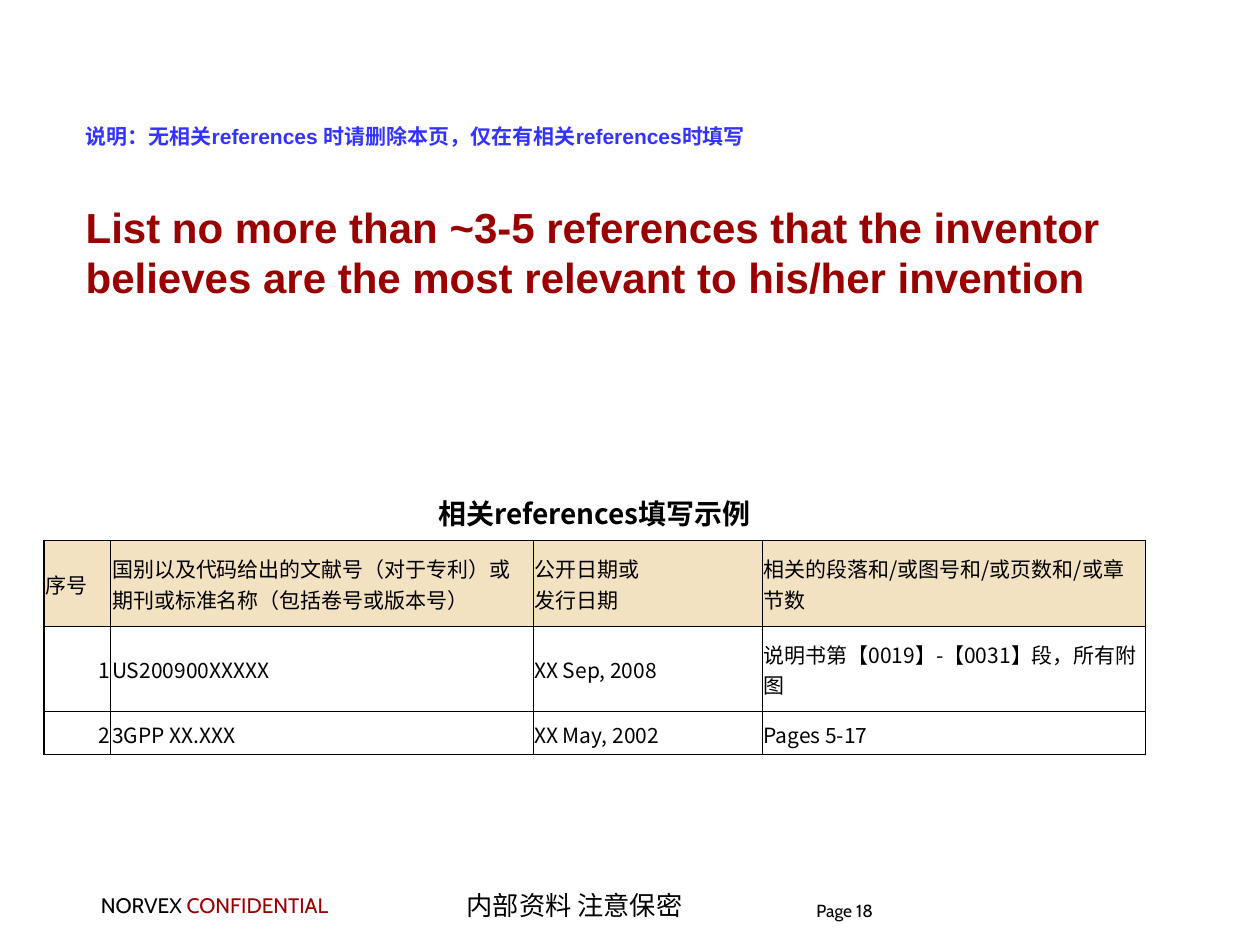
from lxml import etree
from pptx import Presentation
from pptx.dml.color import RGBColor
from pptx.enum.text import MSO_ANCHOR as Anchor, PP_ALIGN as Align
from pptx.oxml.ns import qn
from pptx.util import Inches, Pt

BLACK, RED, BLUE, SAND = "000000", "990000", "3333FF", "F2E2C2"
CJK_FONT = "Noto Sans CJK SC"
THIN, THICK = 0.5, 1

COLUMN_WIDTHS = [0.53, 3.35, 1.82, 3.04]
ROW_HEIGHTS = [0.46, 0.68, 0.68, 0.34]
TABLE_TITLE = "相关references填写示例"
TABLE_ROWS = [
    ["序号", "国别以及代码给出的文献号（对于专利）或\v期刊或标准名称（包括卷号或版本号）",
     "公开日期或\v发行日期", "相关的段落和/或图号和/或页数和/或章节数"],
    ["1", "US200900XXXXX", "XX Sep, 2008", "说明书第【0019】-【0031】段，所有附图"],
    ["2", "3GPP XX.XXX", "XX May, 2002", "Pages 5-17"],
]


def color(value):
    return RGBColor.from_string(value)


def format_run(run, size, font, text_color, bold=False):
    run.font.size = Pt(size)
    run.font.name = font
    run.font.bold = bold
    run.font.color.rgb = color(text_color)
    east_asian = etree.SubElement(run.font._element, qn("a:ea"))
    east_asian.set("typeface", CJK_FONT)


def add_text(slide, box, pieces, size, font, bold=False, align=Align.LEFT):
    """Add one middle-anchored paragraph made of (text, color) pieces."""
    frame = slide.shapes.add_textbox(*map(Inches, box)).text_frame
    frame.word_wrap = True
    frame.vertical_anchor = Anchor.MIDDLE
    frame.margin_left = frame.margin_right = Inches(0.09)
    frame.margin_top = frame.margin_bottom = 0
    paragraph = frame.paragraphs[0]
    paragraph.alignment = align
    for text, text_color in pieces:
        run = paragraph.add_run()
        run.text = text
        format_run(run, size, font, text_color, bold)


def set_borders(cell, widths):
    """Draw left, right, top and bottom borders; a width of 0 hides one."""
    properties = cell._tc.get_or_add_tcPr()
    for index, (side, width) in enumerate(zip("LRTB", widths)):
        line = etree.Element(qn(f"a:ln{side}"), w=str(Pt(width)))
        if width:
            fill = etree.SubElement(line, qn("a:solidFill"))
            etree.SubElement(fill, qn("a:srgbClr"), val=BLACK)
        else:
            etree.SubElement(line, qn("a:noFill"))
        properties.insert(index, line)


def fill_cell(cell, text, size, align, bold=False):
    cell.text_frame.text = text
    cell.vertical_anchor = Anchor.MIDDLE
    cell.margin_left = cell.margin_right = cell.margin_top = Inches(0.01)
    cell.margin_bottom = 0
    paragraph = cell.text_frame.paragraphs[0]
    paragraph.alignment = align
    for run in paragraph.runs:
        format_run(run, size, CJK_FONT, BLACK, bold)


def add_instructions(slide, left, top, width):
    note = "说明：无相关references 时请删除本页，仅在有相关references时填写"
    heading = ("List no more than ~3-5 references that the inventor "
               "believes are the most relevant to his/her invention")
    add_text(slide, (left, top, width, 0.3), [(note, BLUE)], 12, "Arial", bold=True)
    add_text(slide, (left, top + 0.62, width, 0.9), [(heading, RED)], 24, "Arial", bold=True)


def add_reference_table(slide, left, top):
    table = slide.shapes.add_table(
        len(ROW_HEIGHTS), len(COLUMN_WIDTHS), Inches(left), Inches(top),
        Inches(sum(COLUMN_WIDTHS)), Inches(sum(ROW_HEIGHTS))).table
    table.first_row = table.horz_banding = False
    for column, width in zip(table.columns, COLUMN_WIDTHS):
        column.width = Inches(width)
    for row, height in zip(table.rows, ROW_HEIGHTS):
        row.height = Inches(height)

    last_column = len(COLUMN_WIDTHS) - 1
    title = table.cell(0, 0)
    title.merge(table.cell(0, last_column))
    fill_cell(title, TABLE_TITLE, 16, Align.CENTER, bold=True)
    for cell in table.rows[0].cells:
        cell.fill.background()
        set_borders(cell, (0, 0, 0, THICK))

    for row_index, texts in enumerate(TABLE_ROWS, 1):
        is_header = row_index == 1
        for column_index, text in enumerate(texts):
            cell = table.cell(row_index, column_index)
            is_number = column_index == 0 and not is_header
            fill_cell(cell, text, 12, Align.RIGHT if is_number else Align.LEFT)
            if is_header:
                cell.fill.solid()
                cell.fill.fore_color.rgb = color(SAND)
            else:
                cell.fill.background()
            set_borders(cell, (
                THICK if column_index == 0 else THIN,
                THICK if column_index == last_column else THIN,
                THICK if is_header else THIN,
                THIN))


def add_footer(slide, left, top):
    add_text(slide, (left, top + 0.03, 2.11, 0.28),
             [("NORVEX ", BLACK), ("CONFIDENTIAL", RED)], 12, "Cabin")
    add_text(slide, (left + 2.33, top, 3.04, 0.34),
             [("内部资料 注意保密", BLACK)], 15, "Arial", align=Align.CENTER)
    add_text(slide, (left + 5.68, top + 0.12, 1.16, 0.2),
             [("Page 18", BLACK)], 10, "Cabin")


def main():
    presentation = Presentation()
    presentation.slide_width = Inches(10)
    presentation.slide_height = Inches(7.5)
    slide = presentation.slides.add_slide(presentation.slide_layouts[6])
    add_footer(slide, 0.71, 7.01)
    add_instructions(slide, 0.59, 0.93, 8.82)
    add_reference_table(slide, 0.35, 3.83)
    presentation.save("out.pptx")


if __name__ == "__main__":
    main()
